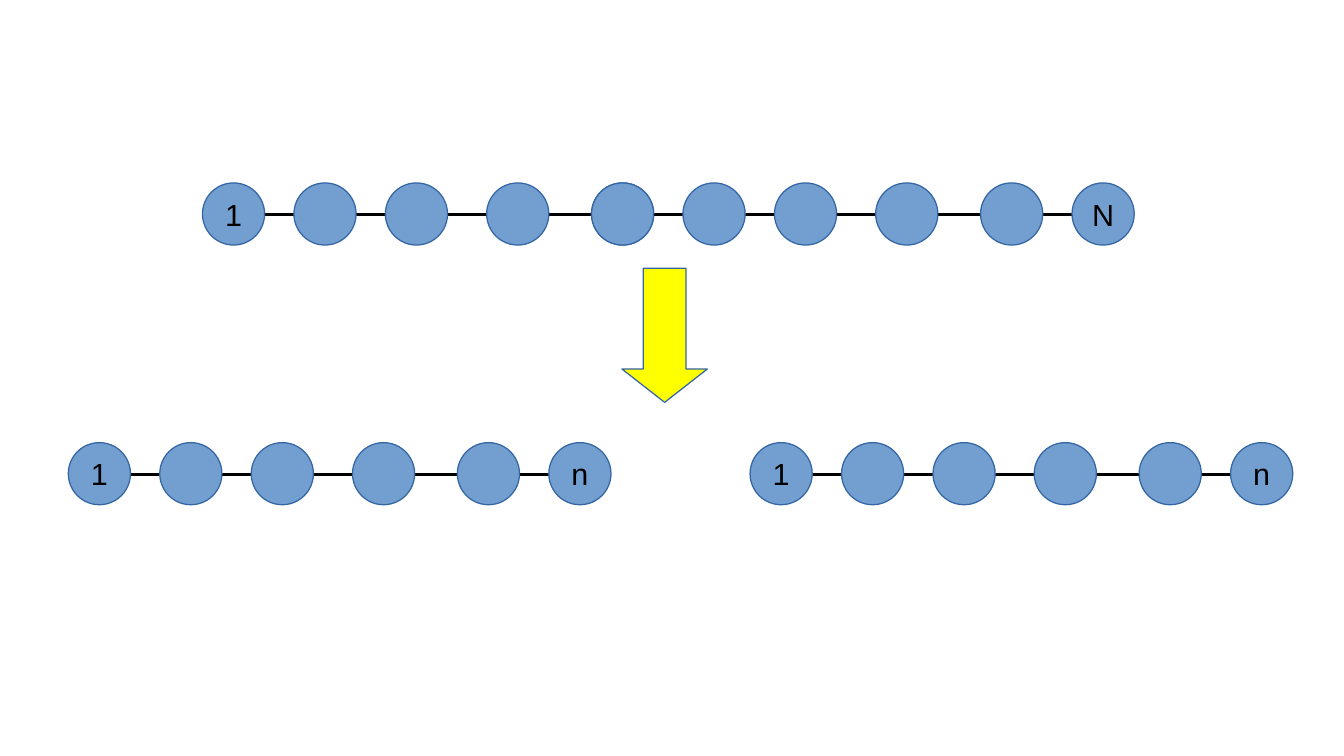
from pptx import Presentation, util as u
from pptx.dml.color import RGBColor
from pptx.enum import shapes, text
from pptx.oxml.ns import qn
from lxml import etree

COLORS = {"node": "729FCF", "edge": "3465A4", "arrow": "FFFF00", "ink": "000000"}
SIZE = 0.51
STEPS = [0, 0.75, 1.5, 2.33, 3.19, 3.94]

deck = Presentation()
deck.slide_width, deck.slide_height = u.Inches(11.02), u.Inches(6.2)
slide = deck.slides.add_slide(deck.slide_layouts[6])


def color(name):
    return RGBColor.from_string(COLORS[name])


def add(label, kind, left, top, width, height, fill="node", size=18, font="Arial"):
    shape = slide.shapes.add_shape(kind, *map(u.Inches, (left, top, width, height)))
    shape.shadow.inherit = False
    shape.fill.solid()
    shape.fill.fore_color.rgb = color(fill)
    shape.line.color.rgb = color("edge")
    shape.line.width = u.Pt(0)
    if label:
        frame = shape.text_frame
        frame.word_wrap = False
        frame.vertical_anchor = text.MSO_ANCHOR.MIDDLE
        par = frame.paragraphs[0]
        par.alignment = text.PP_ALIGN.CENTER
        run = par.add_run()
        run.text = label
        run.font.size, run.font.name = u.Pt(size), font
        run.font.color.rgb = color("ink")
    return shape


# Chains: the two upper ones meet in a shared node
chains = [
    (1.66, 1.5, ["1", "", "", "", ""]),
    (4.85, 1.5, ["", "", "", "", "", "N"]),
    (0.56, 3.63, ["1", "", "", "", "", "n"]),
    (6.15, 3.63, ["1", "", "", "", "", "n"]),
]
for left, top, labels in chains:
    # Line behind the nodes
    mid = top + 0.26
    line = slide.shapes.add_connector(
        shapes.MSO_CONNECTOR.STRAIGHT,
        *map(u.Inches, (left + 0.09, mid, left + 4.44, mid)))
    line.line.color.rgb = color("ink")
    line.line.width = u.Pt(0)
    etree.SubElement(line._element.spPr, qn("a:effectLst"))

    # Nodes
    for step, label in zip(STEPS, labels):
        add(label, shapes.MSO_SHAPE.OVAL, left + step, top, SIZE, SIZE)

# Arrow from the long chain to the short ones
arrow = add("", shapes.MSO_SHAPE.DOWN_ARROW, 5.1, 2.2, 0.7, 1.1, fill="arrow")
arrow.adjustments[1] = 0.39

deck.save("out.pptx")
